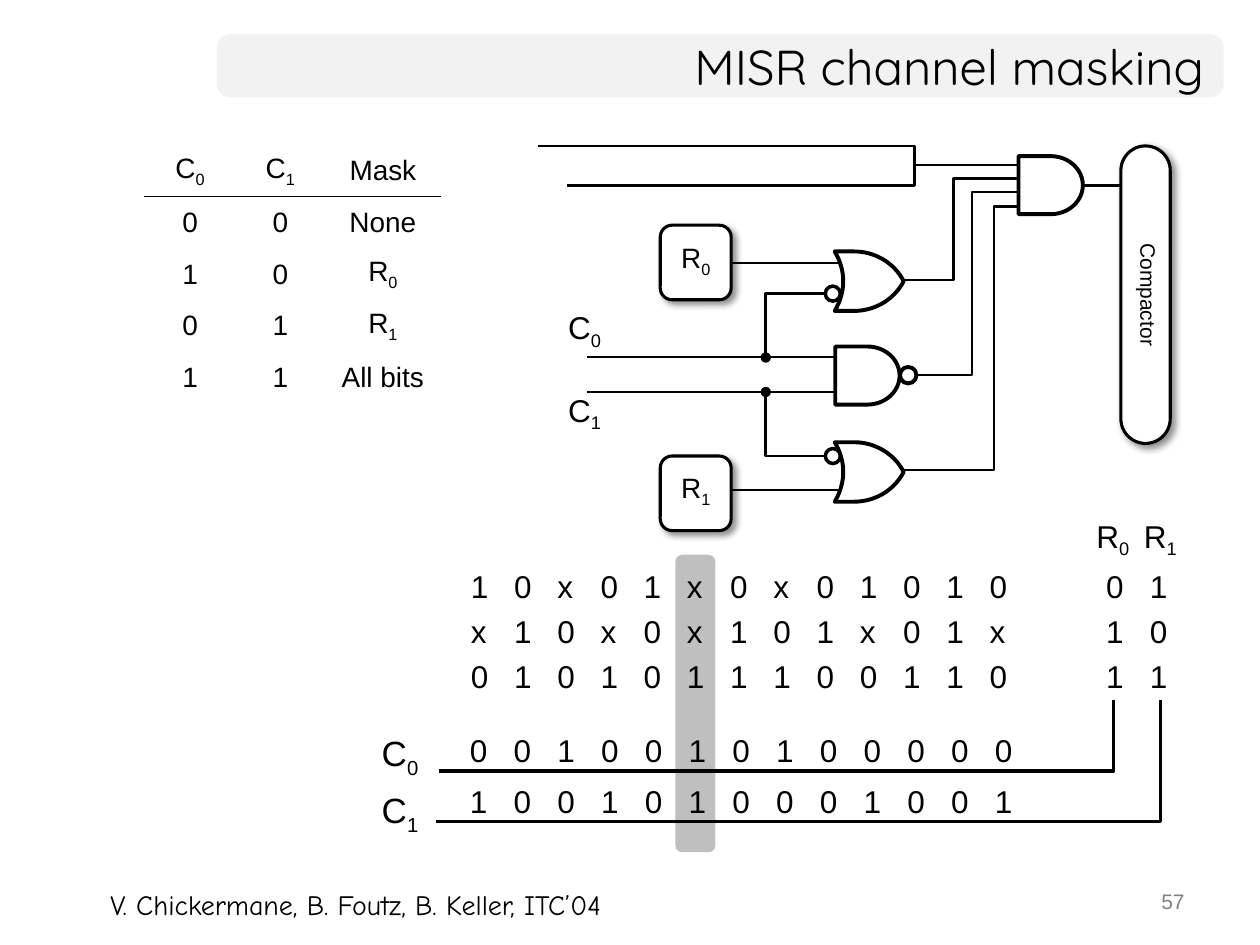
import pptx
import pptx.util
import pptx.dml.color
import pptx.enum.shapes
import pptx.enum.text
import pptx.oxml
import pptx.oxml.ns

Pt = pptx.util.Pt
SHAPE = pptx.enum.shapes.MSO_SHAPE
ALIGN = pptx.enum.text.PP_ALIGN
ANCHOR = pptx.enum.text.MSO_ANCHOR
COLORS = {"ink": "000000", "paper": "FFFFFF", "bar": "F2F2F2",
          "band": "BFBFBF", "number": "808080"}
NAMESPACE = pptx.oxml.ns.nsdecls("a")


def element(xml):
    """Parse one drawing element such as '<a:headEnd type="oval"/>'."""
    end = "/>" if xml.endswith("/>") else ">"
    return pptx.oxml.parse_xml(xml.replace(end, f" {NAMESPACE}{end}", 1))


def curve(start, pull_a, pull_b, end, steps=16):
    """Points along a cubic curve, without its start."""
    points = []
    for step in range(1, steps + 1):
        t = step / steps
        weights = ((1 - t) ** 3, 3 * t * (1 - t) ** 2, 3 * t * t * (1 - t), t ** 3)
        points.append(tuple(sum(w * p[axis] for w, p in zip(weights, (start, pull_a, pull_b, end)))
                            for axis in (0, 1)))
    return points


class Sketch:
    def __init__(self, page, font="Arial"):
        self.page = page
        self.font = font

    def color(self, name):
        return pptx.dml.color.RGBColor.from_string(COLORS[name])

    def paint(self, shape, fill, line_width):
        shape.shadow.inherit = False
        if fill:
            shape.fill.solid()
            shape.fill.fore_color.rgb = self.color(fill)
        else:
            shape.fill.background()
        if line_width:
            shape.line.color.rgb = self.color("ink")
            shape.line.width = Pt(line_width)
        else:
            shape.line.fill.background()

    def letter(self, para, text, size, color="ink", font=None):
        """An underscore in the text starts a subscript."""
        base, _, subscript = text.partition("_")
        para.text = base
        if subscript:
            para.add_run().text = subscript
        for index, span in enumerate(para.runs):
            span.font.name = font or self.font
            span.font.size = Pt(size)
            span.font.color.rgb = self.color(color)
            if index:
                span.font._element.set("baseline", "-25000")

    def text(self, at, text, size, align=ALIGN.LEFT, anchor=ANCHOR.TOP, wrap=False, **style):
        box = self.page.shapes.add_textbox(*map(Pt, at))
        box.text_frame.word_wrap = wrap
        box.text_frame.vertical_anchor = anchor
        para = box.text_frame.paragraphs[0]
        para.alignment = align
        self.letter(para, text, size, **style)
        return para

    def bits(self, at, values, pitch, spacing=1.0):
        """A row of characters on evenly spaced tab stops."""
        para = self.text(at, "\t".join(values), 18, wrap=True)
        para.line_spacing = spacing
        stops = "".join(f'<a:tab pos="{Pt(pitch * n)}" algn="l"/>' for n in range(1, len(values)))
        para._p.get_or_add_pPr().append(element(f"<a:tabLst>{stops}</a:tabLst>"))

    def shape(self, kind, at, fill="paper", line_width=None, radius=None):
        shape = self.page.shapes.add_shape(kind, *map(Pt, at))
        self.paint(shape, fill, line_width)
        if radius is not None:
            shape.adjustments[0] = radius
        return shape

    def block(self, at, label, size, radius=0.167, rotation=0):
        """A rounded, shadowed and labelled block."""
        shape = self.shape(SHAPE.ROUNDED_RECTANGLE, at, "paper", 1.75, radius)
        shape.rotation = rotation
        shape._element.spPr.find(pptx.oxml.ns.qn("a:effectLst")).append(element(
            f'<a:outerShdw blurRad="{Pt(4)}" dist="{Pt(3)}" dir="2700000" algn="tl" '
            'rotWithShape="0"><a:srgbClr val="000000"><a:alpha val="43000"/>'
            '</a:srgbClr></a:outerShdw>'))
        frame = shape.text_frame
        frame.margin_bottom = Pt(7.2)
        frame.vertical_anchor = ANCHOR.MIDDLE
        frame.paragraphs[0].alignment = ALIGN.CENTER
        self.letter(frame.paragraphs[0], label, size)

    def line(self, start, end, width=1.5):
        line = self.page.shapes.add_connector(pptx.enum.shapes.MSO_CONNECTOR.STRAIGHT,
                                              *map(Pt, start + end))
        line.line.color.rgb = self.color("ink")
        line.line.width = Pt(width)
        line._element.spPr.append(element("<a:effectLst/>"))

    def outline(self, points, fill=None, width=1.5, close=False, dot=False):
        corners = [(Pt(x), Pt(y)) for x, y in points]
        builder = self.page.shapes.build_freeform(*corners[0])
        builder.add_line_segments(corners[1:], close=close)
        shape = builder.convert_to_shape()
        self.paint(shape, fill, width)
        if dot:
            shape.line._get_or_add_ln().append(element('<a:headEnd type="oval"/>'))

    def or_gate(self, top, bubble_top):
        """An OR gate with one inverted input."""
        upper, lower = (477, top), (477, top + 34)
        shoulder, tip, hip = (488, top), (516.4, top + 17), (488, top + 34)
        self.outline([upper, shoulder]
                     + curve(shoulder, (500, top), (511, top + 6.5), tip)
                     + curve(tip, (511, top + 27.5), (500, top + 34), hip)
                     + [lower]
                     + curve(lower, (483.5, top + 23), (483.5, top + 11), upper),
                     "paper", 2.25, close=True)
        self.shape(SHAPE.OVAL, (471.6, bubble_top, 8.6, 8.6), "paper", 2)

    def table(self, at, rows, widths, height):
        size = (sum(widths), height * len(rows))
        table = self.page.shapes.add_table(len(rows), len(widths), *map(Pt, at + size)).table
        table.first_row = table.horz_banding = False
        for column, width in zip(table.columns, widths):
            column.width = Pt(width)
        for r, row in enumerate(rows):
            table.rows[r].height = Pt(height)
            for c, text in enumerate(row):
                cell = table.cell(r, c)
                cell.vertical_anchor = ANCHOR.MIDDLE
                para = cell.text_frame.paragraphs[0]
                para.alignment = ALIGN.CENTER
                self.letter(para, text, 16)
                if r < 2:  # rule under the header
                    edge = "lnT" if r else "lnB"
                    cell._tc.get_or_add_tcPr().append(element(
                        f'<a:{edge} w="{Pt(1)}"><a:solidFill><a:srgbClr val="{COLORS["ink"]}"/>'
                        f'</a:solidFill></a:{edge}>'))
                cell.fill.background()


def main():
    deck = pptx.Presentation()
    deck.slide_width, deck.slide_height = Pt(720), Pt(540)
    sketch = Sketch(deck.slides.add_slide(deck.slide_layouts[6]))

    # Title and footer
    sketch.shape(SHAPE.ROUNDED_RECTANGLE, (124, 19.6, 575.3, 36), "bar", radius=0.208)
    sketch.text((124, 19.6, 571, 36), "MISR channel masking", 28, ALIGN.RIGHT,
                ANCHOR.MIDDLE, True, font="Quicksand")
    sketch.text((516, 504, 168, 25), "57", 12, ALIGN.RIGHT, wrap=True, color="number")
    sketch.text((56, 503.5, 348, 26.6), "V. Chickermane, B. Foutz, B. Keller, ITC’04", 16,
                font="Comic Neue")

    # Mask table
    sketch.table((82.8, 82.8), [("C_0", "C_1", "Mask"), ("0", "0", "None"), ("1", "0", "R_0"),
                                ("0", "1", "R_1"), ("1", "1", "All bits")],
                 (51.6, 51.6, 65.6), 29.6)

    # Circuit wires
    sketch.outline([(307.4, 83.5), (522.7, 83.5), (522.7, 106), (324, 106)], "paper")
    for start, end in (((522.7, 94.3), (589, 94.3)), ((602, 106), (659, 106)),
                       ((398, 150.4), (486, 150.4)), ((403, 280), (484, 280)),
                       ((335.5, 204), (493, 204)), ((335.5, 224), (493, 224))):
        sketch.line(start, end)
    for source, bend, target in (((516.4, 160), 545, 102), ((520, 214.2), 555.4, 109.8),
                                 ((516.4, 268.6), 568, 118)):
        sketch.outline([source, (bend, source[1]), (bend, target), (590, target)])
    for tap, inverter in ((204.3, 167.8), (224, 260.6)):
        sketch.outline([(437.6, tap), (437.6, inverter), (474, inverter)], dot=True)

    # Gates and blocks
    sketch.or_gate(143.7, 163.5)
    sketch.or_gate(252.7, 256.3)
    for left, top in ((582, 89.2), (477.3, 198)):
        sketch.shape(SHAPE.FLOWCHART_DELAY, (left, top, 36.8, 33.2), "paper", 2.25)
    sketch.shape(SHAPE.OVAL, (514.3, 209.7, 9.4, 9.4), "paper", 2.25)
    sketch.block((377.3, 128.7, 40.5, 42.6), "R_0", 16)
    sketch.block((377.3, 260.6, 40.5, 42.6), "R_1", 16)
    sketch.block((569.6, 154.3, 170, 28.2), "Compactor", 12, 0.5, 90)
    sketch.text((317.5, 172.3, 34.6, 29), "C_0", 18)
    sketch.text((317.5, 219.6, 34.6, 29), "C_1", 18)

    # Scan data with the masked column shaded
    sketch.shape(SHAPE.ROUNDED_RECTANGLE, (386, 317, 22.8, 170), "band", radius=0.167)
    for n, (data, masks) in enumerate((("10x01x0x01010", "01"), ("x10x0x101x01x", "10"),
                                       ("0101011100110", "11"))):
        top = 324.7 + 25.6 * n
        sketch.bits((262, top, 330, 23), data, 24.7, 0.8)
        sketch.bits((625, top, 51, 23), masks, 25, 0.8)
    sketch.text((619.4, 291.6, 34.6, 29), "R_0", 18)
    sketch.text((646.6, 291.6, 34.6, 29), "R_1", 18)

    # Control rows and their wires
    for label, label_top, data, top, left, right, rule in (
            ("C_0", 414.7, "0010010100000", 414, 250.8, 636.4, 440.6),
            ("C_1", 447, "1001010001001", 443.4, 249, 663, 469.4)):
        sketch.text((211, label_top, 37, 31.6), label, 20)
        sketch.bits((261.5, top, 330, 29), data, 25)
        sketch.outline([(left, rule), (right, rule), (right, 400)], width=1.75)

    deck.save("out.pptx")


if __name__ == "__main__":
    main()
